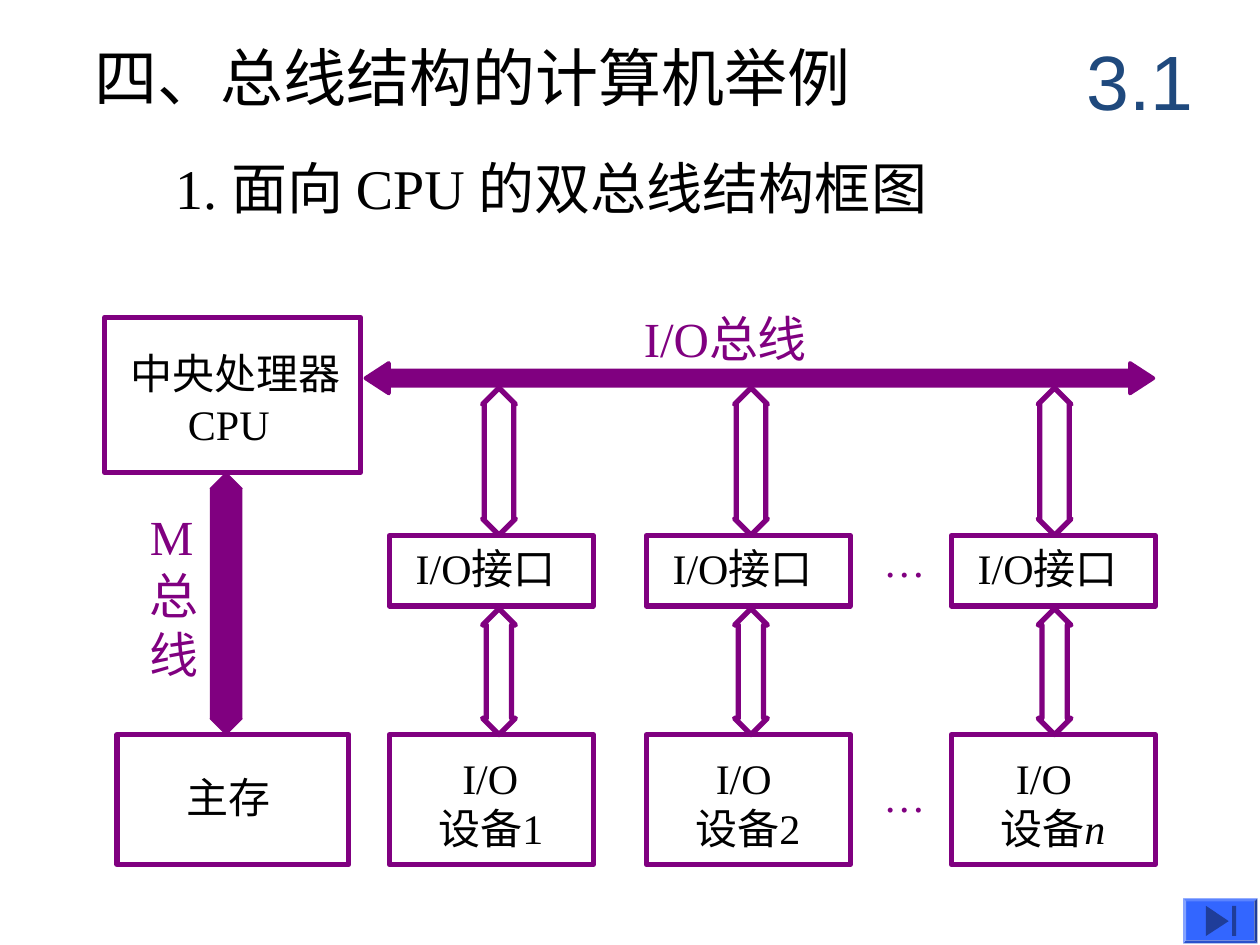
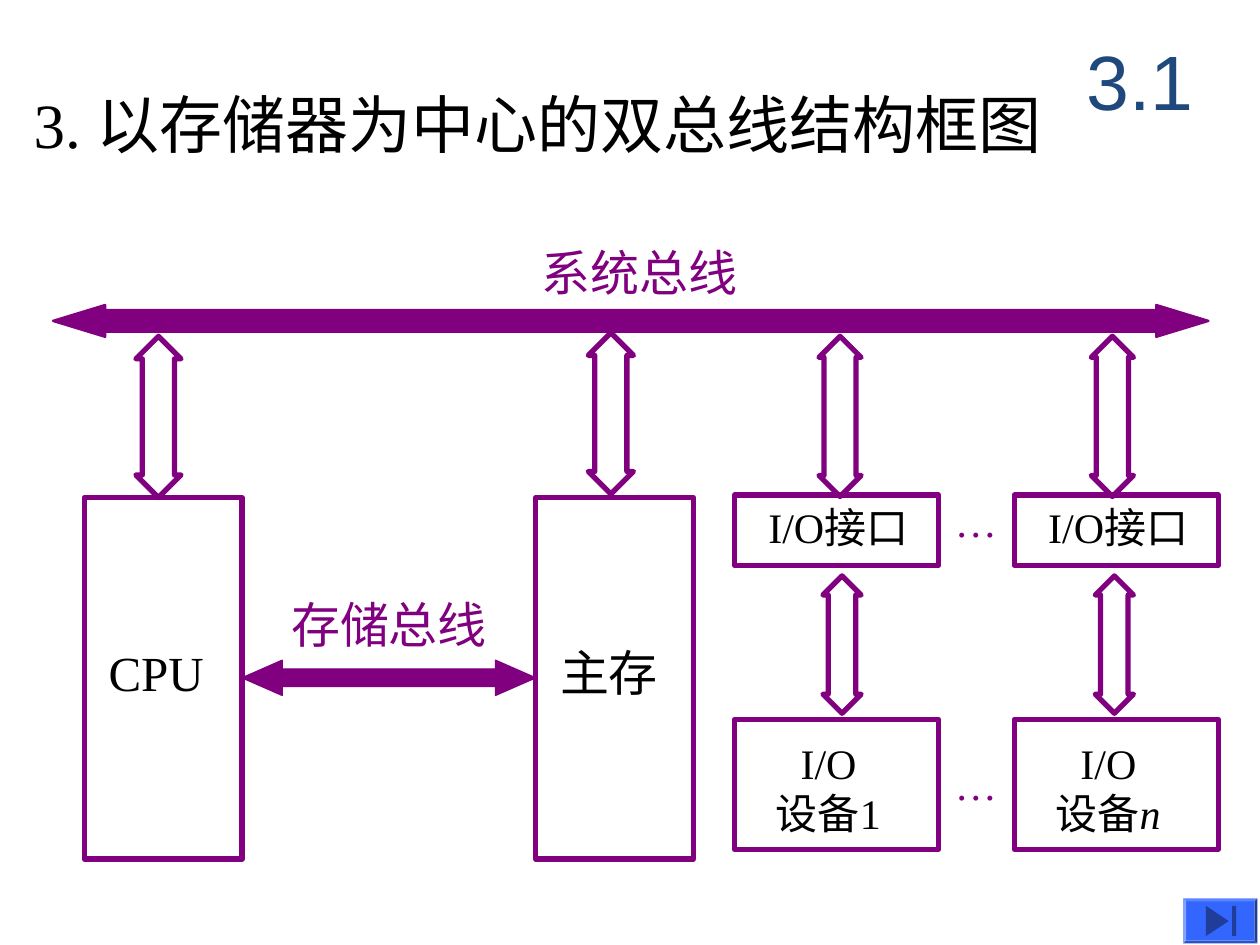
from pptx import Presentation
from pptx.dml.color import RGBColor
from pptx.enum.shapes import MSO_SHAPE
from pptx.enum.text import MSO_ANCHOR, MSO_AUTO_SIZE, PP_ALIGN
from pptx.util import Cm, Pt

RECT = MSO_SHAPE.RECTANGLE
BEVEL = MSO_SHAPE.BEVEL
VERTICAL = MSO_SHAPE.UP_DOWN_ARROW
HORIZONTAL = MSO_SHAPE.LEFT_RIGHT_ARROW
TOP, MIDDLE = MSO_ANCHOR.TOP, MSO_ANCHOR.MIDDLE
LEFT, CENTER = PP_ALIGN.LEFT, PP_ALIGN.CENTER
NO_FIT = MSO_AUTO_SIZE.NONE

COLORS = {
    "text": "000000",
    "bus": "800080",
    "section": "1F497D",
    "button": "3366FF",
    "icon": "1F3D99",
}
SERIF, SANS, LABEL = "Times New Roman", "Arial", "Calibri"
TITLE_ONLY = 5
BOX_W, PORT_H, DEVICE_H = 4.11, 1.42, 2.62


def rgb(name):
    return RGBColor.from_string(COLORS[name])


class Deck:
    def __init__(self):
        self.prs = Presentation()
        self.prs.slide_width, self.prs.slide_height = Cm(25.4), Cm(19.05)
        self.s = None

    def slide(self, title, left, top, width):
        self.s = self.prs.slides.add_slide(self.prs.slide_layouts[TITLE_ONLY])
        sp = self.s.shapes.title
        sp.left, sp.top, sp.width, sp.height = Cm(left), Cm(top), Cm(width), Cm(1.78)
        self.fill_text(sp.text_frame, [(0, title)], 36, inset=(0.25, 0.13))
        self.text("3.1", 21.39, 0.43, 3.18, 2.34, 44, "section", SANS, CENTER, MIDDLE)
        self.button()

    def fill_text(self, tf, lines, size, color="text", font=SERIF, align=LEFT,
                  anchor=TOP, inset=(0, 0)):
        tf.word_wrap = True
        tf.auto_size = NO_FIT
        tf.vertical_anchor = anchor
        tf.margin_left, tf.margin_top = Cm(inset[0]), Cm(inset[1])
        tf.margin_right = tf.margin_bottom = 0
        tf.text = "\n".join(text for _, text in lines)
        for p, (offset, _) in zip(tf.paragraphs, lines):
            p.alignment = align
            if offset:
                p._p.get_or_add_pPr().set("marL", str(Cm(offset)))
            for r in p.runs:
                self.style(r, size, color, font)

    def style(self, r, size, color, font):
        r.font.size, r.font.name = Pt(size), font
        r.font.color.rgb = rgb(color)

    def text(self, text, left, top, width, height, size, color="bus", font=SERIF,
             align=LEFT, anchor=TOP):
        sp = self.s.shapes.add_textbox(Cm(left), Cm(top), Cm(width), Cm(height))
        lines = [(0, line) for line in text.split("\n")]
        self.fill_text(sp.text_frame, lines, size, color, font, align, anchor)

    def paint(self, sp, fill=None, line=None, weight=3):
        sp.shadow.inherit = False
        if fill:
            sp.fill.solid()
            sp.fill.fore_color.rgb = rgb(fill)
        else:
            sp.fill.background()
        if line:
            sp.line.color.rgb = rgb(line)
            sp.line.width = Pt(weight)
        else:
            sp.line.fill.background()

    def shape(self, kind, left, top, width, height, adjust=(), **paint):
        sp = self.s.shapes.add_shape(kind, Cm(left), Cm(top), Cm(width), Cm(height))
        for i, value in enumerate(adjust):
            sp.adjustments[i] = value
        self.paint(sp, **paint)
        return sp

    def box(self, left, top, width, height, lines, size=24, inset=0.13, anchor=TOP):
        sp = self.shape(RECT, left, top, width, height, line="bus")
        self.fill_text(sp.text_frame, lines, size, anchor=anchor, inset=(0, inset))
        return sp

    def bus(self, kind, left, top, width, height, adjust, weight):
        self.shape(kind, left, top, width, height, adjust, fill="bus", line="bus", weight=weight)

    def link(self, left, top, width, height, head):
        self.shape(VERTICAL, left, top, width, height, (0.5, head), line="bus")

    def port(self, left, top, offset):
        self.box(left, top, BOX_W, PORT_H, [(offset, "I/O接口")])

    def device(self, left, top, io_offset, offset, number):
        lines = [(io_offset, "I/O"), (offset, "设备")]
        sp = self.box(left, top, BOX_W, DEVICE_H, lines, inset=0.36)
        r = sp.text_frame.paragraphs[1].add_run()
        r.text = number
        self.style(r, 24, "text", SERIF)
        r.font.italic = number.isalpha()

    def button(self):
        self.shape(BEVEL, 23.85, 18.11, 1.5, 0.91, (0.07,), fill="button")
        fb = self.s.shapes.build_freeform(Cm(24.31), Cm(18.26))
        fb.add_line_segments([(Cm(24.77), Cm(18.57)), (Cm(24.31), Cm(18.87))])
        self.paint(fb.convert_to_shape(), fill="icon")
        self.shape(RECT, 24.84, 18.26, 0.08, 0.61, fill="icon")


def cpu_centred(deck):
    deck.slide("四、总线结构的计算机举例", 1.65, 0.64, 17.65)
    deck.text("1. 面向 CPU 的双总线结构框图", 3.53, 3.1, 17.4, 1.63, 32, "text")

    deck.box(2.11, 6.4, 5.16, 3.12, [(0.53, "中央处理器"), (1.68, "CPU")], anchor=MIDDLE)
    deck.text("I/O总线", 12.98, 6.22, 5.03, 1.2, 28)
    deck.bus(HORIZONTAL, 7.37, 7.32, 15.88, 0.61, (0.5, 0.77), 2.25)
    deck.text("M\n总\n线", 3.02, 10.21, 1.2, 3.56, 28)
    deck.bus(VERTICAL, 4.24, 9.53, 0.64, 5.28, (0.5, 0.98), 0.75)
    deck.box(2.36, 14.81, 4.67, DEVICE_H, [(1.4, "主存")], inset=0.74)

    columns = [(7.85, 9.73, 1.47, "1"), (13.03, 14.81, 1.4, "2"), (19.18, 20.93, 1.3, "n")]
    for left, link_left, io_offset, number in columns:
        deck.link(link_left, 7.82, 0.66, 2.97, 0.9)
        deck.port(left, 10.8, 0.53)
        deck.link(link_left, 12.27, 0.66, 2.54, 0.77)
        deck.device(left, 14.81, io_offset, 0.99, number)
    for top in (10.8, 15.54):
        deck.text("…", 17.81, top, 1.04, 1.02, 24)


def memory_centred(deck):
    deck.slide("3. 以存储器为中心的双总线结构框图", 0.43, 1.6, 22.02)
    deck.text("系统总线", 10.92, 4.88, 6.43, 1.2, 28, font=LABEL)
    deck.bus(HORIZONTAL, 1.07, 6.15, 23.29, 0.64, (0.68, 1.64), 1.39)

    for left, link_left, link_top, name in [(1.7, 2.74, 6.78, "CPU"), (10.8, 11.86, 6.71, "主存")]:
        deck.box(left, 10.03, 3.18, 7.29, [(0.49, name)], 28, 2.92)
        deck.link(link_left, link_top, 0.91, 3.25, 0.71)
    deck.text("存储总线", 5.87, 11.99, 4.2, 1.2, 28)
    deck.bus(HORIZONTAL, 4.88, 13.31, 5.92, 0.71, (0.5, 1.14), 0.75)

    for left, link_left, number in [(14.81, 16.51, "1"), (20.45, 22, "n")]:
        deck.link(link_left, 6.78, 0.85, 3.23, 0.76)
        deck.port(left, 9.98, 0.68)
        deck.link(link_left + 0.08, 11.61, 0.77, 2.77, 0.72)
        deck.device(left, 14.5, 1.33, 0.83, number)
    for top in (9.98, 15.29):
        deck.text("…", 19.25, top, 1.04, 1.02, 24)


def main():
    deck = Deck()
    cpu_centred(deck)
    memory_centred(deck)
    deck.prs.save("out.pptx")


if __name__ == "__main__":
    main()
